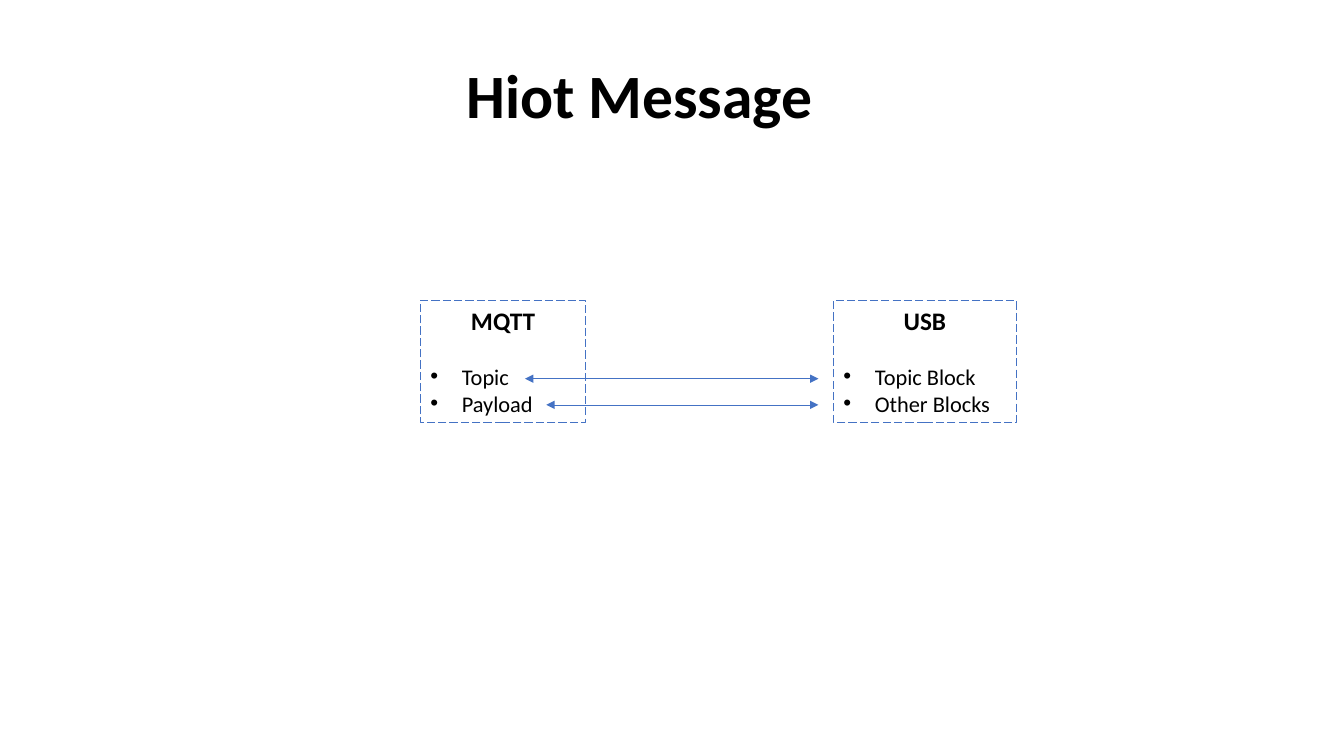
from lxml.etree import SubElement
from pptx import Presentation
from pptx.dml.color import RGBColor
from pptx.enum.dml import MSO_LINE
from pptx.enum.shapes import MSO_CONNECTOR, MSO_SHAPE
from pptx.enum.text import MSO_ANCHOR, MSO_AUTO_SIZE, PP_ALIGN
from pptx.oxml.ns import qn
from pptx.util import Pt

BLUE = "4472C4"
BLACK = "000000"


def color(hex_value):
    return RGBColor.from_string(hex_value)


def style(paragraph, size, bold, align):
    paragraph.alignment = align
    paragraph.font.name = "Calibri"
    paragraph.font.size = Pt(size)
    paragraph.font.bold = bold
    paragraph.font.color.rgb = color(BLACK)


presentation = Presentation()
presentation.slide_width = Pt(960)
presentation.slide_height = Pt(540)
slide = presentation.slides.add_slide(presentation.slide_layouts[5])

title = slide.shapes.title
title.left, title.top, title.width, title.height = Pt(48), Pt(18), Pt(828), Pt(104.4)
title.text_frame.text = "Hiot Message "
title.text_frame.vertical_anchor = MSO_ANCHOR.MIDDLE
heading = title.text_frame.paragraphs[0]
heading.line_spacing = 0.9
style(heading, 44, True, PP_ALIGN.CENTER)

# Message formats: left, width, name, parts
formats = [
    (300.3, 118, "MQTT", ["Topic", "Payload"]),
    (595.4, 130.5, "USB", ["Topic Block", "Other Blocks"]),
]
for left, width, name, parts in formats:
    message = slide.shapes.add_shape(
        MSO_SHAPE.RECTANGLE, Pt(left), Pt(214.5), Pt(width), Pt(87.2))
    message.shadow.inherit = False
    message.fill.background()
    message.line.color.rgb = color(BLUE)
    message.line.width = Pt(0.75)
    message.line.dash_style = MSO_LINE.LONG_DASH

    frame = message.text_frame
    frame.word_wrap = True
    frame.auto_size = MSO_AUTO_SIZE.SHAPE_TO_FIT_TEXT
    frame.vertical_anchor = MSO_ANCHOR.TOP
    frame.text = name
    frame.paragraphs[0].space_after = Pt(19.5)
    style(frame.paragraphs[0], 18, True, PP_ALIGN.CENTER)
    for part in parts:
        item = frame.add_paragraph()
        item.text = part
        properties = item._p.get_or_add_pPr()
        properties.set("marL", str(Pt(22.5)))
        properties.set("indent", str(-Pt(22.5)))
        SubElement(properties, qn("a:buFont"), typeface="Arial")
        SubElement(properties, qn("a:buChar"), char="•")
        style(item, 16, False, PP_ALIGN.LEFT)

# Each MQTT part maps to the USB block on the same row
for start, row in [(375, 270.5), (390.2, 289.2)]:
    mapping = slide.shapes.add_connector(
        MSO_CONNECTOR.STRAIGHT, Pt(start), Pt(row), Pt(584.6), Pt(row))
    mapping.line.color.rgb = color(BLUE)
    mapping.line.width = Pt(0.5)
    outline = mapping.line._get_or_add_ln()
    for end in ("a:headEnd", "a:tailEnd"):
        SubElement(outline, qn(end), type="triangle")
    SubElement(mapping._element.spPr, qn("a:effectLst"))

presentation.save("out.pptx")
